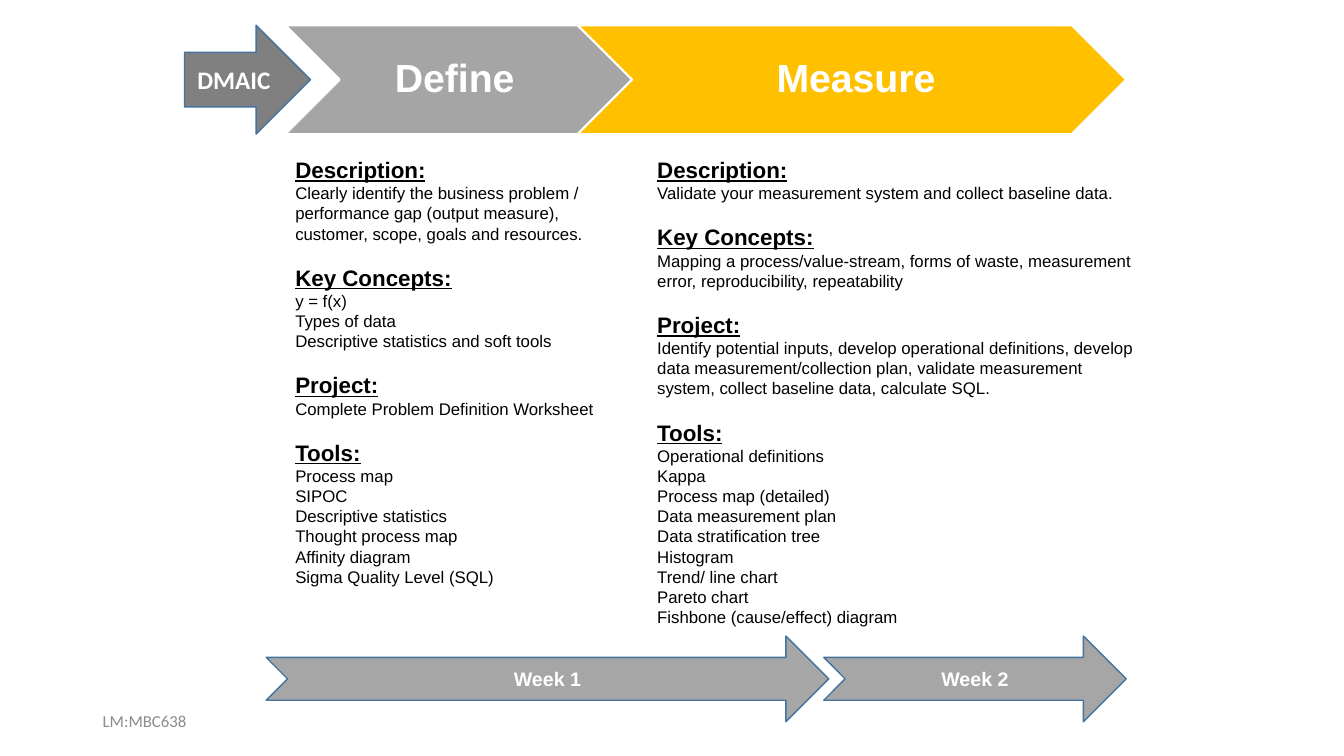
from pptx import Presentation
from pptx import util as u
from pptx.dml.color import RGBColor
from pptx.enum import shapes, text

GREY, AMBER, BLUE, WHITE = "A5A5A5", "FFC000", "43739E", "FFFFFF"
MARGIN_LEFT, PHASE_TOP, PHASE_H = 2.83, 0.25, 1.08
WEEK_TOP, WEEK_H = 6.31, 0.85

DEFINE = [
    ("Description:", ["Clearly identify the business problem / performance gap "
                      "(output measure), customer, scope, goals and resources."]),
    ("Key Concepts:", ["y = f(x)", "Types of data",
                       "Descriptive statistics and soft tools"]),
    ("Project:", ["Complete Problem Definition Worksheet"]),
    ("Tools:", ["Process map", "SIPOC", "Descriptive statistics",
                "Thought process map", "Affinity diagram",
                "Sigma Quality Level (SQL)"]),
]
MEASURE = [
    ("Description:", ["Validate your measurement system and collect baseline data."]),
    ("Key Concepts:", ["Mapping a process/value-stream, forms of waste, "
                       "measurement error, reproducibility, repeatability"]),
    ("Project:", ["Identify potential inputs, develop operational definitions, "
                  "develop data measurement/collection plan, validate measurement "
                  "system, collect baseline data, calculate SQL."]),
    ("Tools:", ["Operational definitions", "Kappa", "Process map (detailed)",
                "Data measurement plan", "Data stratification tree", "Histogram",
                "Trend/ line chart", "Pareto chart",
                "Fishbone (cause/effect) diagram"]),
]


def rgb(value):
    return RGBColor.from_string(value)


def add_run(p, words, size, color, font="Arial", bold=False, underline=False):
    r = p.add_run()
    r.text = words
    r.font.size = u.Pt(size)
    r.font.name = font
    r.font.bold = bold
    r.font.underline = underline
    r.font.color.rgb = rgb(color)


def add_label_shape(s, kind, box, words, size, fill, line, width, font="Arial"):
    """Add a filled preset shape with a bold white centred label."""
    sp = s.shapes.add_shape(kind, *map(u.Inches, box))
    sp.shadow.inherit = False
    sp.fill.solid()
    sp.fill.fore_color.rgb = rgb(fill)
    sp.line.color.rgb = rgb(line)
    sp.line.width = u.Pt(width)
    tf = sp.text_frame
    tf.vertical_anchor = text.MSO_ANCHOR.MIDDLE
    p = tf.paragraphs[0]
    p.alignment = text.PP_ALIGN.CENTER
    add_run(p, words, size, WHITE, font, bold=True)
    return sp


def add_phase(s, left, width, words, fill, right_inset):
    sp = add_label_shape(s, shapes.MSO_SHAPE.CHEVRON,
                         (left, PHASE_TOP, width, PHASE_H),
                         words, 28, fill, WHITE, 1.5)
    tf = sp.text_frame
    tf.margin_left, tf.margin_right = u.Inches(0.12), u.Inches(right_inset)
    tf.margin_top = tf.margin_bottom = u.Inches(0.04)
    tf.paragraphs[0].line_spacing = 0.9


def add_week(s, left, width, words):
    add_label_shape(s, shapes.MSO_SHAPE.NOTCHED_RIGHT_ARROW,
                    (left, WEEK_TOP, width, WEEK_H), words, 14, "A6A6A6", BLUE, 1)


def add_text_box(s, box):
    tf = s.shapes.add_textbox(*map(u.Inches, box)).text_frame
    tf.word_wrap = True
    return tf


def add_sections(s, box, sections):
    """Add a column of underlined headings, each followed by its lines."""
    tf = add_text_box(s, box)
    for i, (heading, lines) in enumerate(sections):
        p = tf.add_paragraph() if i else tf.paragraphs[0]
        p.space_before = u.Pt(14.5 if i else 0)
        add_run(p, heading, 16, "000000", bold=True, underline=True)
        for line in lines:
            add_run(tf.add_paragraph(), line, 12, "000000")


def add_footer(s, words):
    tf = add_text_box(s, (0.92, 6.95, 3, 0.4))
    tf.vertical_anchor = text.MSO_ANCHOR.MIDDLE
    add_run(tf.paragraphs[0], words, 12, "8C8C8C", "Calibri")


def main():
    prs = Presentation()
    prs.slide_width, prs.slide_height = u.Inches(13.33), u.Inches(7.5)
    s = prs.slides.add_slide(prs.slide_layouts[6])

    add_phase(s, MARGIN_LEFT, 3.44, "Define", GREY, 0.2)
    add_phase(s, 5.73, 5.44, "Measure", AMBER, 0.04)
    add_sections(s, (MARGIN_LEFT, 1.5, 3.58, 4.41), DEFINE)
    add_sections(s, (6.42, 1.5, 5, 4.81), MEASURE)
    add_label_shape(s, shapes.MSO_SHAPE.RIGHT_ARROW,
                    (1.83, PHASE_TOP, 1.25, PHASE_H),
                    "DMAIC", 18, "808080", BLUE, 1, "Calibri")
    add_week(s, 2.64, 5.58, "Week 1")
    add_week(s, 8.17, 3, "Week 2")
    add_footer(s, "LM:MBC638")

    prs.save("out.pptx")


if __name__ == "__main__":
    main()
